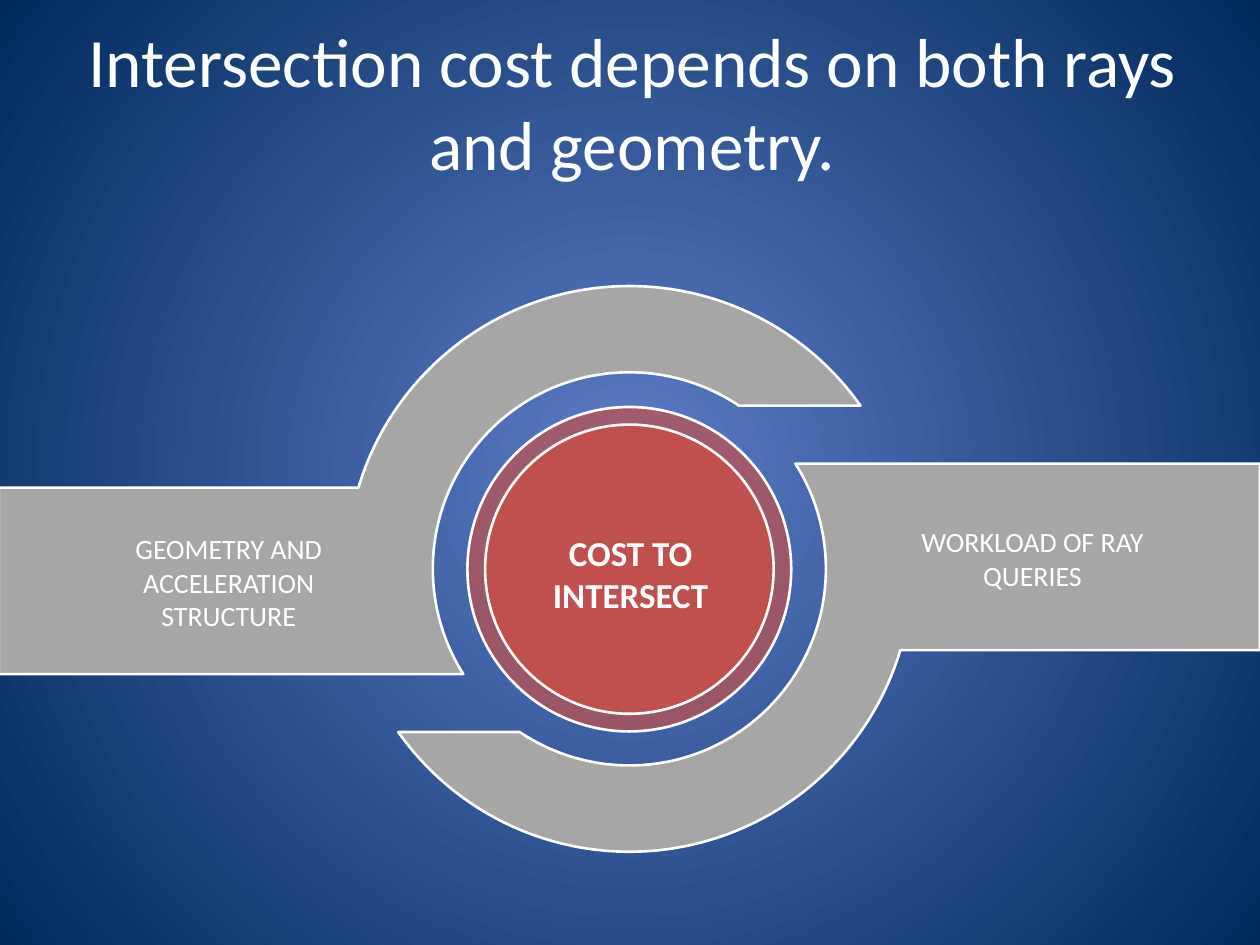
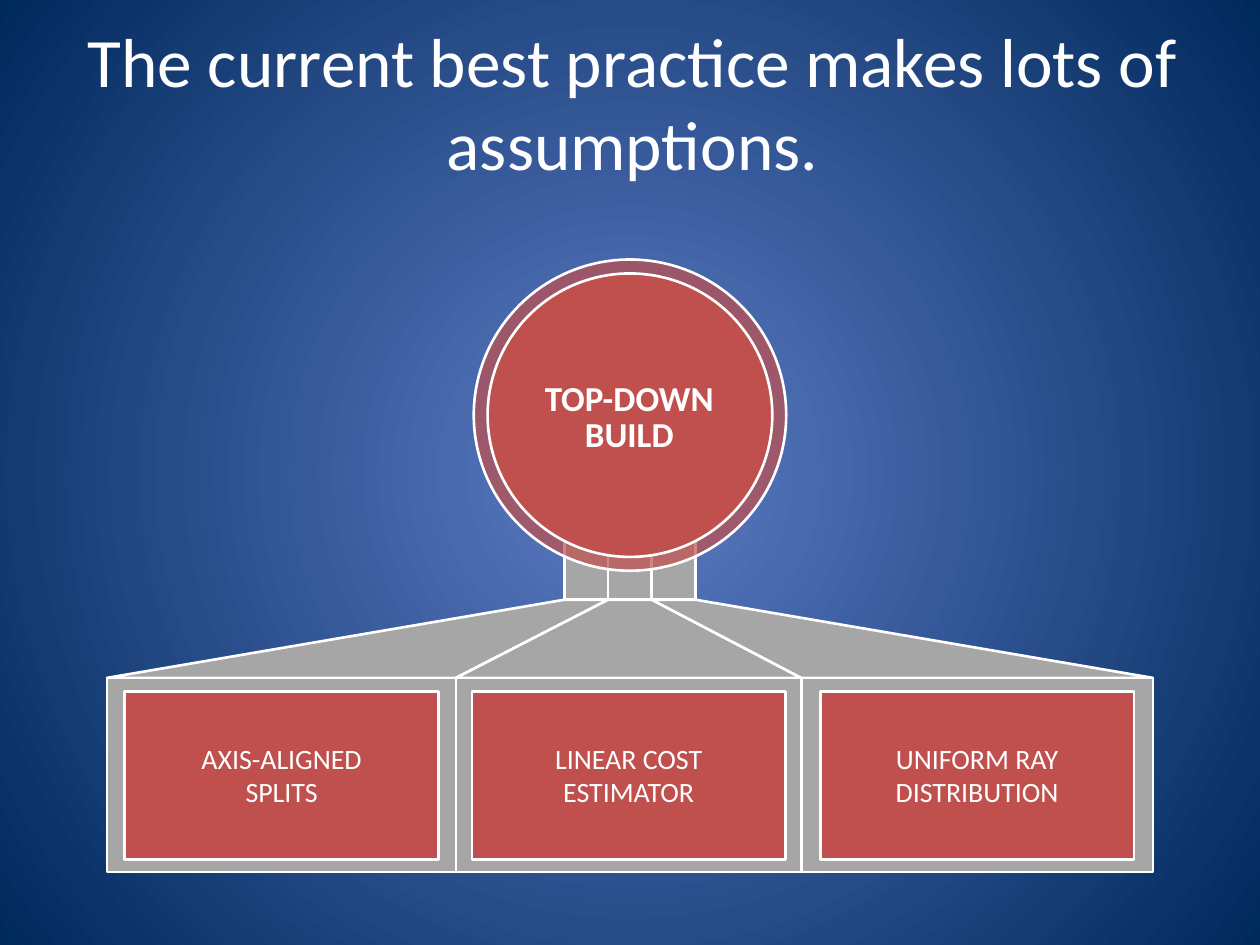
import math

from lxml import etree
from pptx import Presentation
from pptx import util as u
from pptx.dml import color as dml
from pptx.enum import shapes, text
from pptx.oxml import ns

COLORS = {
    "glow": "5E7CC5",
    "edge": "00295C",
    "accent": "C0504D",
    "band": "A6A6A6",
    "white": "FFFFFF",
}
FONT = "Calibri"
COLUMNS, ROWS = 100, 75
SLIDE_WIDTH, SLIDE_HEIGHT = u.Inches(10), u.Inches(7.5)
TITLE_BOX = (2.7, 2.4, 95, 11.3)


def rgb(name):
    return dml.RGBColor.from_string(COLORS[name])


def across(columns):
    return u.Emu(round(columns * SLIDE_WIDTH / COLUMNS))


def down(rows):
    return u.Emu(round(rows * SLIDE_HEIGHT / ROWS))


def place(box):
    left, top, width, height = box
    return across(left), down(top), across(width), down(height)


def paint(shape, fill, opacity=100):
    shape.shadow.inherit = False
    shape.fill.solid()
    shape.fill.fore_color.rgb = rgb(fill)
    shape.line.color.rgb = rgb("white")
    shape.line.width = u.Pt(1.5)
    if opacity < 100:
        color = next(shape.element.spPr.iter(ns.qn("a:srgbClr")))
        etree.SubElement(color, ns.qn("a:alpha"), val=str(opacity * 1000))


def add_preset(slide, kind, box, fill, opacity=100):
    shape = slide.shapes.add_shape(kind, *place(box))
    paint(shape, fill, opacity)


def add_outline(slide, segments, fill):
    segments = [[(across(x), down(y)) for x, y in segment] for segment in segments]
    corners = [segment[-1] for segment in segments]
    builder = slide.shapes.build_freeform(*corners[0], scale=1.0)
    builder.add_line_segments(corners[1:], close=True)
    shape = builder.convert_to_shape()
    lines = list(shape.element.iter(ns.qn("a:lnTo")))
    for line, segment in zip(lines, segments[1:]):
        if len(segment) == 3:
            curve = etree.Element(ns.qn("a:cubicBezTo"))
            for x, y in segment:
                etree.SubElement(curve, ns.qn("a:pt"),
                                 x=str(x - shape.left), y=str(y - shape.top))
            line.getparent().replace(line, curve)
    paint(shape, fill)


def write(frame, words, size, bold=False, spacing=None):
    frame.text = words
    frame.word_wrap = True
    for paragraph in frame.paragraphs:
        paragraph.alignment = text.PP_ALIGN.CENTER
        paragraph.line_spacing = spacing
        for run in paragraph.runs:
            run.font.name = FONT
            run.font.size = u.Pt(size)
            run.font.bold = bold
            run.font.color.rgb = rgb("white")


def add_label(slide, box, words, size=16, bold=False, spacing=None):
    label = slide.shapes.add_textbox(*place(box))
    write(label.text_frame, words, size, bold, spacing)
    label.text_frame.auto_size = text.MSO_AUTO_SIZE.SHAPE_TO_FIT_TEXT
    return label


def set_background(master):
    fill = master.background.fill
    fill.gradient()
    for stop, name in zip(fill.gradient_stops, ("glow", "edge")):
        stop.color.rgb = rgb(name)
    gradient = next(master.element.iter(ns.qn("a:gradFill")))
    gradient.remove(gradient.find(ns.qn("a:lin")))
    circle = etree.SubElement(gradient, ns.qn("a:path"), path="circle")
    etree.SubElement(circle, ns.qn("a:fillToRect"),
                     l="50000", t="50000", r="50000", b="50000")


def add_titled_slide(presentation, words):
    slide = presentation.slides.add_slide(presentation.slide_layouts[5])
    title = slide.shapes.title
    title.left, title.top, title.width, title.height = place(TITLE_BOX)
    write(title.text_frame, words, 39.6)
    title.text_frame.auto_size = text.MSO_AUTO_SIZE.NONE
    title.text_frame.vertical_anchor = text.MSO_ANCHOR.MIDDLE
    return slide


def add_disc(slide, box, rim):
    left, top, width, height = box
    core = (left + rim, top + rim, width - 2 * rim, height - 2 * rim)
    add_preset(slide, shapes.MSO_SHAPE.OVAL, box, "accent", 70)
    add_preset(slide, shapes.MSO_SHAPE.OVAL, core, "accent")


def polar(radius, angle):
    return radius * math.cos(angle), radius * math.sin(angle)


def arc(radius, start, end):
    handle = radius * 4 / 3 * math.tan((end - start) / 4)
    (x1, y1), (x2, y2) = polar(radius, start), polar(radius, end)
    (dx1, dy1), (dx2, dy2) = polar(handle, start), polar(handle, end)
    return [(x1 - dy1, y1 + dx1), (x2 + dy2, y2 - dx2), (x2, y2)]


def hook_segments(reach, outer, inner):
    bar_top, bar_bottom, tip = -6.45, 8.35, -12.95
    outer_start = math.pi - math.asin(bar_top / outer)
    outer_end = 2 * math.pi + math.asin(tip / outer)
    inner_start = 2 * math.pi + math.asin(tip / inner)
    inner_end = math.pi - math.asin(bar_bottom / inner)
    summit = 1.5 * math.pi
    return [
        [(-reach, bar_top)],
        [polar(outer, outer_start)],
        arc(outer, outer_start, summit),
        arc(outer, summit, outer_end),
        [polar(inner, inner_start)],
        arc(inner, inner_start, summit),
        arc(inner, summit, math.pi),
        arc(inner, math.pi, inner_end),
        [(-reach, bar_bottom)],
    ]


def add_hooks(slide, box):
    left, top, width, height = box
    center_x, center_y = left + width / 2, top + height / 2
    hook = hook_segments(width / 2, height / 2, 15.6)
    for turn in (1, -1):
        add_outline(slide, [[(center_x + turn * x, center_y + turn * y) for x, y in segment]
                            for segment in hook], "band")


def add_branches(slide, box, branches):
    left, top, width, height = box
    stem_width, stem_height, panel_height = 3.47, 14.9, 15.4
    tile_width, tile_height = 24.9, 13.3
    stem_left = left + (width - len(branches) * stem_width) / 2
    panel_left = left
    stem_bottom = top + stem_height
    panel_top = top + height - panel_height
    tile_top = panel_top + 1.1
    for caption, panel_width in branches:
        tile_left = panel_left + (panel_width - tile_width) / 2
        add_preset(slide, shapes.MSO_SHAPE.RECTANGLE,
                   (stem_left, top, stem_width, stem_height), "band")
        add_outline(slide, [[(stem_left, stem_bottom)],
                            [(stem_left + stem_width, stem_bottom)],
                            [(panel_left + panel_width, panel_top)],
                            [(panel_left, panel_top)]], "band")
        add_preset(slide, shapes.MSO_SHAPE.RECTANGLE,
                   (panel_left, panel_top, panel_width, panel_height), "band")
        add_preset(slide, shapes.MSO_SHAPE.RECTANGLE,
                   (tile_left, tile_top, tile_width, tile_height), "accent")
        add_label(slide, (tile_left, tile_top + 3.45, tile_width, 6.4), caption)
        stem_left += stem_width
        panel_left += panel_width


def build_cost_slide(presentation):
    slide = add_titled_slide(
        presentation, "Intersection cost depends on both rays and geometry.")
    add_disc(slide, (37.1, 32.3, 25.7, 25.75), 1.4)
    add_hooks(slide, (-0.1, 22.7, 100.1, 44.9))
    add_label(slide, (39.6, 41.7, 20.9, 7.7), "COST TO\nINTERSECT", 20, True)
    add_label(slide, (7.7, 41.7, 20.9, 9.1), "GEOMETRY AND\nACCELERATION\nSTRUCTURE")
    add_label(slide, (71.5, 41.15, 20.9, 6.4), "WORKLOAD OF RAY QUERIES")


def build_assumptions_slide(presentation):
    slide = add_titled_slide(
        presentation, "The current best practice makes lots of assumptions.")
    add_branches(slide, (8.5, 32.7, 83, 36.5), (
        ("AXIS-ALIGNED\nSPLITS", 27.7),
        ("LINEAR COST\nESTIMATOR", 27.4),
        ("UNIFORM RAY\nDISTRIBUTION", 27.9),
    ))
    add_disc(slide, (37.6, 20.6, 24.8, 24.7), 1.1)
    label = add_label(slide, (40.8, 29.9, 18.3, 6.7), "TOP-DOWN\nBUILD", 20, True, 0.85)
    label.text_frame.vertical_anchor = text.MSO_ANCHOR.MIDDLE


def main():
    presentation = Presentation()
    presentation.slide_width, presentation.slide_height = SLIDE_WIDTH, SLIDE_HEIGHT
    set_background(presentation.slide_master)
    build_cost_slide(presentation)
    build_assumptions_slide(presentation)
    presentation.save("out.pptx")


if __name__ == "__main__":
    main()
